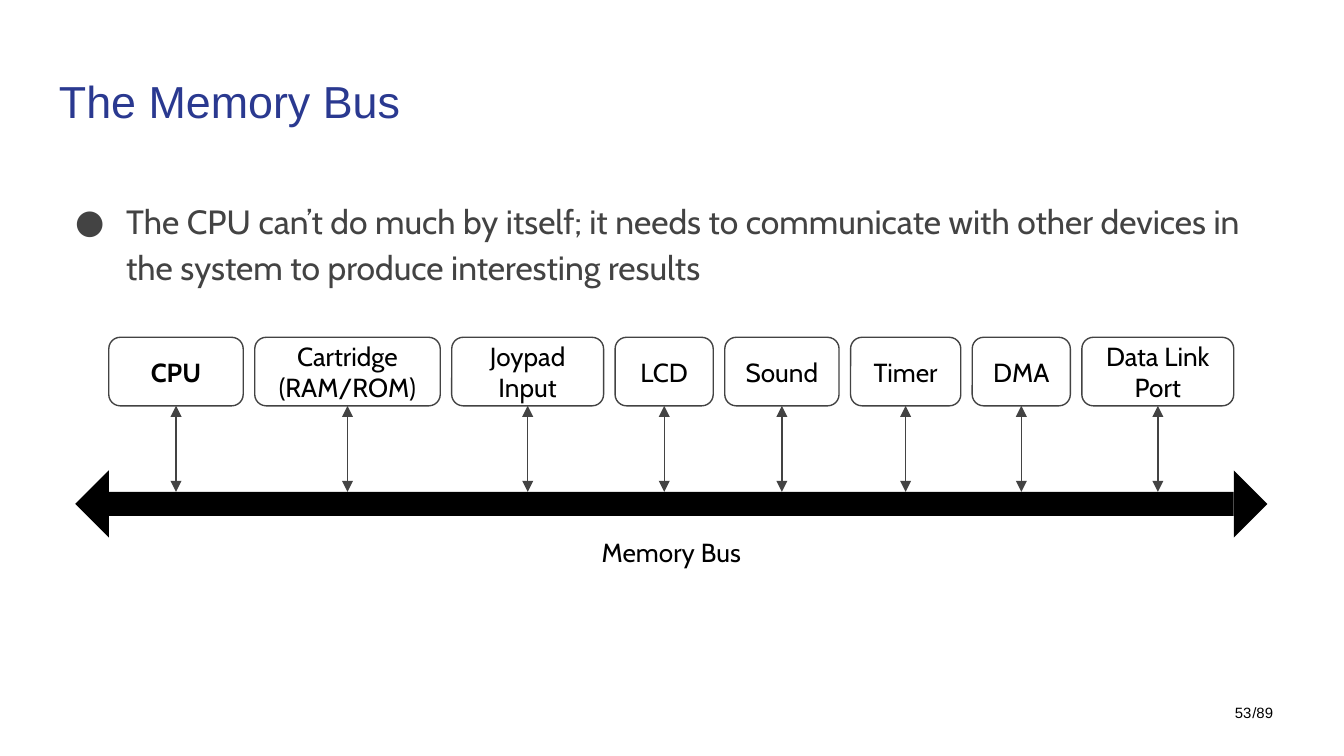
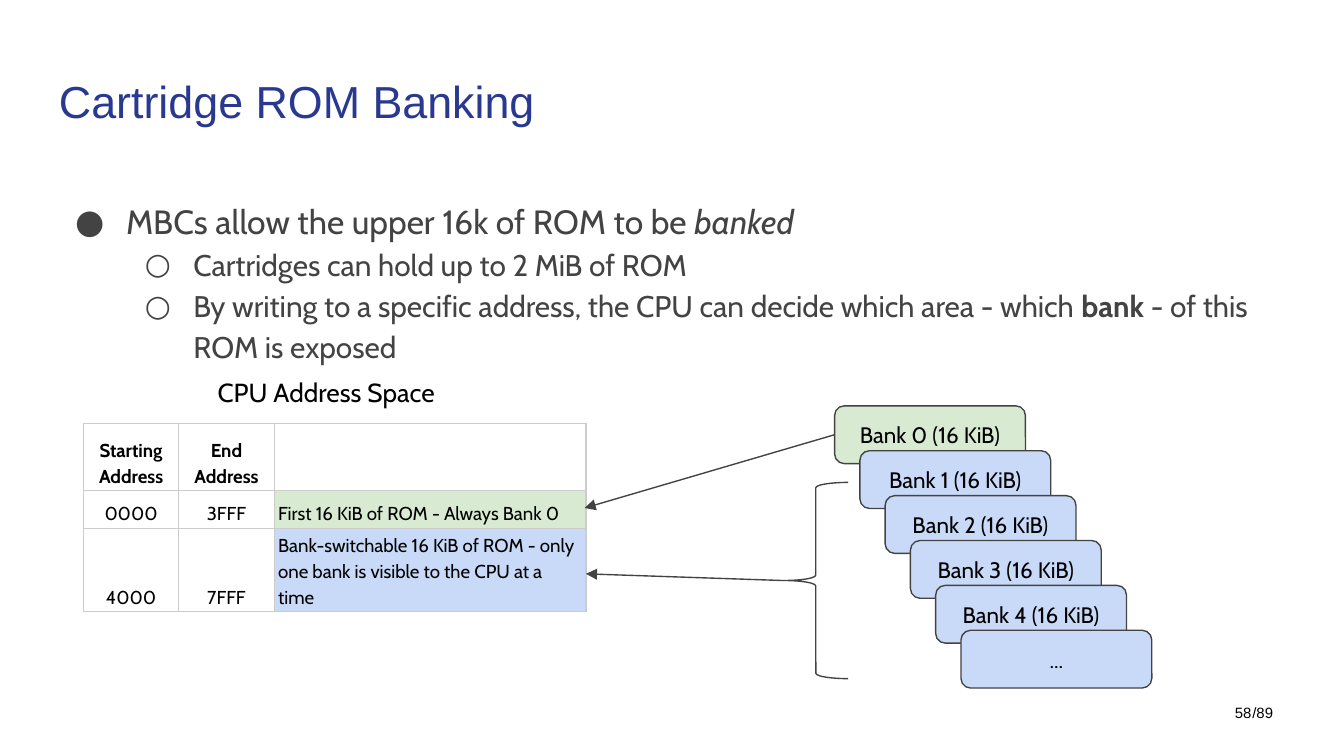
"""Build two slides about a console's memory bus and cartridge ROM banking."""
from dataclasses import dataclass
from typing import NamedTuple, Optional

from lxml import etree
from pptx import Presentation
from pptx.dml.color import RGBColor
from pptx.enum import shapes, text
from pptx.oxml import ns
from pptx.util import Inches, Pt

BLACK = RGBColor(0x00, 0x00, 0x00)
GREY = RGBColor(0x43, 0x43, 0x43)
NAVY = RGBColor(0x2A, 0x39, 0x90)
GREEN = RGBColor(0xD9, 0xEA, 0xD3)
BLUE = RGBColor(0xC9, 0xDA, 0xF8)
BORDER = RGBColor(0xCC, 0xCC, 0xCC)

HEADING_FONT = "Arial"
BODY_FONT = "Cabin"
LINE_WIDTH = Pt(0.75)
SLIDE_WIDTH = Inches(10)
SLIDE_TOTAL = 89
CENTER = text.PP_ALIGN.CENTER
TOP = text.MSO_ANCHOR.TOP
MIDDLE = text.MSO_ANCHOR.MIDDLE
BOTTOM_SIDE, LEFT_SIDE = 2, 1


class Box(NamedTuple):
    """Position and size in inches."""
    left: float
    top: float
    width: float
    height: float

    def lengths(self) -> list:
        """Return the four values as lengths."""
        return [Inches(value) for value in self]


class Run(NamedTuple):
    """A stretch of text in one style."""
    text: str
    bold: bool = False
    italic: bool = False


class Bullet(NamedTuple):
    """Look of one bullet level."""
    symbol: str
    margin: float
    indent: float
    size: float


class Device(NamedTuple):
    """A device attached to the bus."""
    name: str
    width: float
    bold: bool = False


@dataclass
class Cell:
    """One table cell, with a paragraph for each line."""
    lines: tuple = ()
    bold: bool = False
    fill: Optional[RGBColor] = None
    align: Optional[text.PP_ALIGN] = CENTER


BULLETS = (Bullet("●", 0.5, -0.38, 18), Bullet("○", 1, -0.36, 16))

DEVICES = (
    Device("CPU", 1, True),
    Device("Cartridge (RAM/ROM)", 1.38),
    Device("Joypad Input", 1.13),
    Device("LCD", 0.73),
    Device("Sound", 0.85),
    Device("Timer", 0.82),
    Device("DMA", 0.73),
    Device("Data Link Port", 1.13),
)
BUS = Box(0.81, 3.66, 8.37, 0.18)
DEVICE_TOP, DEVICE_HEIGHT = 2.51, 0.51
ARROWHEAD_DEPTH, ARROWHEAD_HALF = 0.25, 0.25

BANKS = [f"Bank {number} (16 KiB)" for number in range(5)] + ["..."]
FIRST_BANK = Box(6.21, 3.02, 1.42, 0.43)
LAST_BANK_LEFT, LAST_BANK_TOP = 7.15, 4.69

COLUMNS = (0.71, 0.71, 2.32)
ROWS = (0.5, 0.28, 0.62)
ADDRESS_CELLS = (
    (Cell(("Starting", "Address"), bold=True), Cell(("End", "Address"), bold=True), Cell()),
    (Cell(("0000",)), Cell(("3FFF",)),
     Cell(("First 16 KiB of ROM - Always Bank 0",), fill=GREEN, align=None)),
    (Cell(("4000",)), Cell(("7FFF",)),
     Cell(("Bank-switchable 16 KiB of ROM - only one bank is visible to the CPU at a time",),
          fill=BLUE, align=None)),
)


def add_element(parent, tag: str, **attributes):
    """Append a drawing element with its attributes."""
    return etree.SubElement(parent, ns.qn(f"a:{tag}"), attributes)


def add_solid_fill(parent, color: RGBColor, tag: str = "solidFill") -> None:
    """Append a colour element to its parent."""
    add_element(add_element(parent, tag), "srgbClr", val=str(color))


def write_paragraph(paragraph, runs, *, size: float, font: str = BODY_FONT,
                    color: RGBColor = BLACK, bold: bool = False, align=None,
                    spacing: Optional[float] = None) -> None:
    """Write a string or a list of runs into a paragraph."""
    for part in [Run(runs, bold)] if isinstance(runs, str) else runs:
        run = paragraph.add_run()
        run.text = part.text
        run.font.name = font
        run.font.size = Pt(size)
        run.font.color.rgb = color
        run.font.bold = part.bold
        run.font.italic = part.italic
    if align is not None:
        paragraph.alignment = align
    if spacing is not None:
        paragraph.line_spacing = spacing


def prepare_frame(shape, anchor=TOP):
    """Give a shape's text frame the shared margins and wrapping."""
    frame = shape.text_frame
    frame.word_wrap = True
    frame.vertical_anchor = anchor
    frame.margin_left = frame.margin_right = Inches(0.1)
    frame.margin_top = frame.margin_bottom = Inches(0.1)
    return frame


def add_text(slide, box: Box, content, *, anchor=TOP, **style) -> None:
    """Add a text box with one paragraph."""
    frame = prepare_frame(slide.shapes.add_textbox(*box.lengths()), anchor)
    write_paragraph(frame.paragraphs[0], content, **style)


def style_shape(shape, fill: Optional[RGBColor] = None, line: Optional[RGBColor] = None):
    """Set a shape's fill and outline and drop its shadow."""
    shape.shadow.inherit = False
    if fill is None:
        shape.fill.background()
    else:
        shape.fill.solid()
        shape.fill.fore_color.rgb = fill
    if line is None:
        shape.line.fill.background()
    else:
        shape.line.color.rgb = line
        shape.line.width = LINE_WIDTH
    return shape


def add_shape(slide, kind, box: Box, **look):
    """Add a styled preset shape."""
    return style_shape(slide.shapes.add_shape(kind, *box.lengths()), **look)


def add_label_box(slide, box: Box, label: str, *, size: float, bold: bool = False,
                  fill: Optional[RGBColor] = None, line: Optional[RGBColor] = GREY,
                  anchor=MIDDLE):
    """Add a rounded rectangle with a centred label."""
    shape = add_shape(slide, shapes.MSO_SHAPE.ROUNDED_RECTANGLE, box, fill=fill, line=line)
    frame = prepare_frame(shape, anchor)
    write_paragraph(frame.paragraphs[0], label, size=size, bold=bold, align=CENTER)
    return shape


def add_arrow(slide, source, side: int, start: tuple, end: tuple, double: bool = False) -> None:
    """Draw an arrow from one side of a shape to a point."""
    points = [Inches(value) for value in (*start, *end)]
    connector = slide.shapes.add_connector(shapes.MSO_CONNECTOR.STRAIGHT, *points)
    connector.begin_connect(source, side)
    connector.line.color.rgb = GREY
    connector.line.width = LINE_WIDTH
    properties = connector.line._get_or_add_ln()
    for tag in ("headEnd", "tailEnd") if double else ("tailEnd",):
        add_element(properties, tag, type="triangle")
    add_element(connector._element.spPr, "effectLst")


def add_triangle(slide, points: list) -> None:
    """Draw a black triangle through three points in inches."""
    corners = [(Inches(x), Inches(y)) for x, y in points]
    builder = slide.shapes.build_freeform(*corners[0])
    builder.add_line_segments(corners[1:], close=True)
    style_shape(builder.convert_to_shape(), fill=BLACK)


def add_bullets(slide, height: float, items: list) -> None:
    """Add the body text from pairs of level and content."""
    box = Box(0.34, 1.35, 9.32, height)
    frame = prepare_frame(slide.shapes.add_textbox(*box.lengths()))
    for index, (level, content) in enumerate(items):
        paragraph = frame.add_paragraph() if index else frame.paragraphs[0]
        bullet = BULLETS[level]
        paragraph.level = level
        properties = paragraph._p.get_or_add_pPr()
        properties.set("marL", str(Inches(bullet.margin)))
        properties.set("indent", str(Inches(bullet.indent)))
        add_solid_fill(properties, GREY, "buClr")
        add_element(properties, "buFont", typeface=BODY_FONT)
        add_element(properties, "buChar", char=bullet.symbol)
        write_paragraph(paragraph, content, size=bullet.size, color=GREY, spacing=1.15)


def add_base_slide(presentation, title: str, number: int):
    """Add a slide with its title and page number."""
    slide = presentation.slides.add_slide(presentation.slide_layouts[6])
    add_text(slide, Box(9.22, 5.09, 0.53, 0.43), f"/{SLIDE_TOTAL}", size=8,
             font=HEADING_FONT, anchor=MIDDLE)
    add_text(slide, Box(8.93, 5.09, 0.48, 0.43), str(number), size=8,
             font=HEADING_FONT, anchor=MIDDLE, align=text.PP_ALIGN.RIGHT)
    add_text(slide, Box(0.34, 0.45, 9.32, 0.66), title, size=24, font=HEADING_FONT, color=NAVY)
    return slide


def fill_cell(cell, content: Cell) -> None:
    """Set one table cell's borders, fill and text."""
    properties = cell._tc.get_or_add_tcPr()
    for tag in ("lnL", "lnR", "lnT", "lnB"):
        add_solid_fill(add_element(properties, tag, w=str(LINE_WIDTH)), BORDER)
    if content.fill is None:
        cell.fill.background()
    else:
        cell.fill.solid()
        cell.fill.fore_color.rgb = content.fill
    cell.vertical_anchor = text.MSO_ANCHOR.BOTTOM
    cell.margin_left = cell.margin_right = Inches(0.03)
    cell.margin_top = cell.margin_bottom = Inches(0.02)
    frame = cell.text_frame
    for index, line in enumerate(content.lines):
        paragraph = frame.add_paragraph() if index else frame.paragraphs[0]
        write_paragraph(paragraph, line, size=10, bold=content.bold,
                        align=content.align, spacing=1.15)


def add_address_table(slide) -> None:
    """Add the table of ROM address ranges."""
    box = Box(0.62, 3.15, sum(COLUMNS), sum(ROWS))
    table = slide.shapes.add_table(len(ROWS), len(COLUMNS), *box.lengths()).table
    table.first_row = table.horz_banding = False
    for column, width in zip(table.columns, COLUMNS):
        column.width = Inches(width)
    for row, height, contents in zip(table.rows, ROWS, ADDRESS_CELLS):
        row.height = Inches(height)
        for cell, content in zip(row.cells, contents):
            fill_cell(cell, content)


def build_memory_bus(presentation) -> None:
    """Build the slide with the devices along the bus."""
    slide = add_base_slide(presentation, "The Memory Bus", 53)
    add_bullets(slide, 0.97, [(0, "The CPU can’t do much by itself; it needs to communicate with "
                                  "other devices in the system to produce interesting results")])
    add_shape(slide, shapes.MSO_SHAPE.RECTANGLE, BUS, fill=BLACK)
    middle = BUS.top + BUS.height / 2
    for edge, direction in ((BUS.left, -1), (BUS.left + BUS.width, 1)):
        add_triangle(slide, [(edge + direction * ARROWHEAD_DEPTH, middle),
                             (edge, middle - ARROWHEAD_HALF), (edge, middle + ARROWHEAD_HALF)])
    add_label_box(slide, Box(2.52, 3.87, 4.95, 0.49), "Memory Bus", size=14, line=None, anchor=TOP)
    gap = (BUS.width - sum(device.width for device in DEVICES)) / (len(DEVICES) - 1)
    left = BUS.left
    for device in DEVICES:
        box = Box(left, DEVICE_TOP, device.width, DEVICE_HEIGHT)
        shape = add_label_box(slide, box, device.name, size=14, bold=device.bold)
        center = left + device.width / 2
        add_arrow(slide, shape, BOTTOM_SIDE, (center, DEVICE_TOP + DEVICE_HEIGHT),
                  (center, BUS.top), double=True)
        left += device.width + gap


def build_rom_banking(presentation) -> None:
    """Build the slide with the address table and the ROM banks."""
    slide = add_base_slide(presentation, "Cartridge ROM Banking", 58)
    add_bullets(slide, 3.65, [
        (0, [Run("MBCs allow the upper 16k of ROM to be "), Run("banked", italic=True)]),
        (1, "Cartridges can hold up to 2 MiB of ROM"),
        (1, [Run("By writing to a specific address, the CPU can decide which area - which "),
             Run("bank", bold=True), Run(" - of this ROM is exposed")]),
    ])
    add_address_table(slide)
    add_text(slide, Box(1.52, 2.7, 1.95, 0.56), "CPU Address Space", size=14)
    brace = add_shape(slide, shapes.MSO_SHAPE.LEFT_BRACE, Box(5.83, 3.59, 0.48, 1.46), line=GREY)
    add_arrow(slide, brace, LEFT_SIDE, (5.83, 4.32), (4.36, 4.27))
    step_x = (LAST_BANK_LEFT - FIRST_BANK.left) / (len(BANKS) - 1)
    step_y = (LAST_BANK_TOP - FIRST_BANK.top) / (len(BANKS) - 1)
    banks = []
    for index, label in enumerate(BANKS):
        box = FIRST_BANK._replace(left=FIRST_BANK.left + index * step_x,
                                  top=FIRST_BANK.top + index * step_y)
        banks.append(add_label_box(slide, box, label, size=12, fill=BLUE if index else GREEN))
    add_arrow(slide, banks[0], LEFT_SIDE, (6.21, 3.24), (4.35, 3.78))


def main() -> None:
    """Build and save the presentation."""
    presentation = Presentation()
    presentation.slide_width = SLIDE_WIDTH
    presentation.slide_height = SLIDE_WIDTH * 9 // 16
    build_memory_bus(presentation)
    build_rom_banking(presentation)
    presentation.save("out.pptx")


if __name__ == "__main__":
    main()
